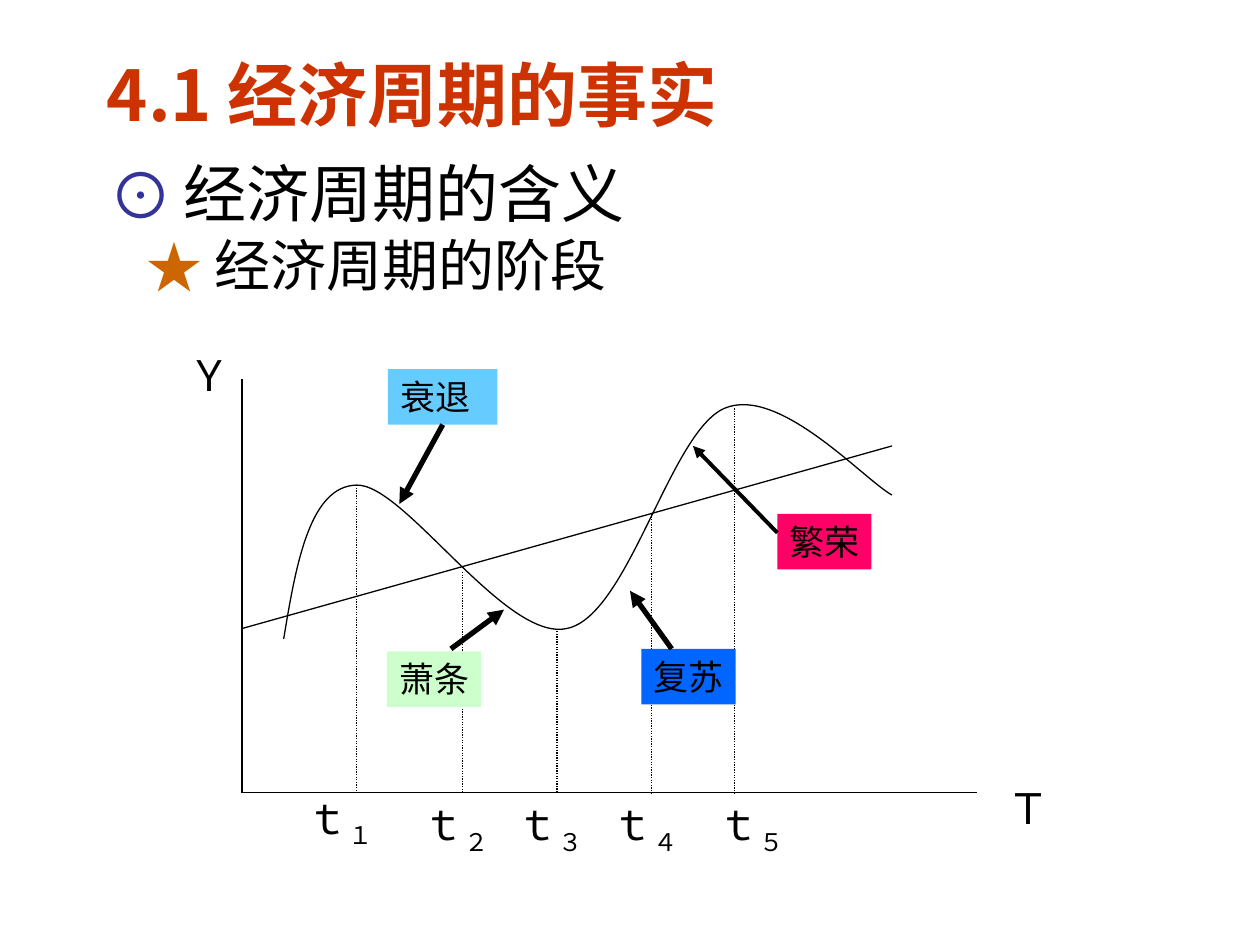
import pptx
import pptx.dml.color
import pptx.enum.dml
import pptx.enum.shapes
import pptx.enum.text
import pptx.oxml
import pptx.oxml.ns
import pptx.util
from lxml import etree
from pptx.util import Cm

COLORS = {
    "title": "CC3300", "text": "000000", "circle": "333399", "star": "CC6600",
    "recession": "66CCFF", "depression": "CCFFCC", "recovery": "0066FF", "boom": "FF0066",
}
CJK_FONT = "Noto Sans CJK SC"
AXIS_LEFT, AXIS_TOP, AXIS_RIGHT, AXIS_BOTTOM = 4.88, 7.65, 19.69, 15.98
CURVE = [
    (5.72, 12.88), (5.97, 11.35), (6.25, 9.8), (7.19, 9.78), (8.15, 9.75), (10.19, 12.95),
    (11.43, 12.67), (12.67, 12.42), (13.51, 8.69), (14.61, 8.23), (15.7, 7.77), (17.4, 9.65),
    (17.98, 9.98),
]
TIMES = [
    ("１", 7.19, 9.78, 5.92, 15.85), ("２", 9.32, 11.53, 8.26, 15.98),
    ("３", 11.23, 12.67, 10.16, 15.98), ("４", 13.13, 10.36, 12.07, 15.98),
    ("５", 14.81, 8.23, 14.22, 15.98),
]
PHASES = [
    ("衰退", "recession", (7.82, 7.44, 2.21), (8.89, 8.61), (8.05, 10.16), 3),
    ("萧条", "depression", (7.8, 13.13, 1.9), (9.09, 13.08), (10.16, 12.29), 3),
    ("复苏", "recovery", (12.93, 13.08, 1.9), (13.54, 13.08), (12.7, 11.91), 3),
    ("繁荣", "boom", (15.67, 10.36, 1.9), (15.67, 10.74), (13.97, 8.99), 2.25),
]


def rgb(name):
    """Return the named colour."""
    return pptx.dml.color.RGBColor.from_string(COLORS[name])


def add_child(parent, tag, **attributes):
    """Append a DrawingML element and return it."""
    child = etree.SubElement(parent, pptx.oxml.ns.qn(tag))
    for name, value in attributes.items():
        child.set(name, str(value))
    return child


def add_run(paragraph, text, size=24, font="Times New Roman", color="text", bold=False, baseline=0):
    """Add formatted text to a paragraph."""
    run = paragraph.add_run()
    run.text = text
    run.font.size = pptx.util.Pt(size)
    run.font.bold = bold
    run.font.name = font
    run.font.color.rgb = rgb(color)
    properties = run.font._element
    latin = properties.find(pptx.oxml.ns.qn("a:latin"))
    east_asian = add_child(properties, "a:ea", typeface=CJK_FONT)
    latin.addnext(east_asian)
    if baseline:
        properties.set("baseline", str(baseline * 1000))


def place(shape, left, top, width, height):
    """Move and size a shape, in centimetres."""
    shape.left, shape.top, shape.width, shape.height = map(Cm, (left, top, width, height))


def prepare_frame(shape, anchor=pptx.enum.text.MSO_ANCHOR.TOP, wrap=True):
    """Set the frame behaviour and return its first paragraph, left aligned."""
    frame = shape.text_frame
    frame.auto_size = pptx.enum.text.MSO_AUTO_SIZE.NONE
    frame.word_wrap = wrap
    frame.vertical_anchor = anchor
    paragraph = frame.paragraphs[0]
    paragraph.alignment = pptx.enum.text.PP_ALIGN.LEFT
    return paragraph


def add_bullet(paragraph, symbol, color, margin, indent):
    """Give a paragraph a coloured bullet and a hanging indent."""
    properties = paragraph._p.get_or_add_pPr()
    properties.set("marL", str(Cm(margin)))
    properties.set("indent", str(-Cm(indent)))
    add_child(add_child(properties, "a:buClr"), "a:srgbClr", val=COLORS[color])
    add_child(properties, "a:buFont", typeface=CJK_FONT)
    add_child(properties, "a:buChar", char=symbol)
    paragraph.space_before = pptx.util.Pt(0)


def add_line(slide, start, end, width=0.75, arrow=False, dotted=False):
    """Draw a straight line between two points."""
    line = slide.shapes.add_connector(
        pptx.enum.shapes.MSO_CONNECTOR.STRAIGHT, *map(Cm, (*start, *end)))
    line.line.color.rgb = rgb("text")
    line.line.width = pptx.util.Pt(width)
    if dotted:
        line.line.dash_style = pptx.enum.dml.MSO_LINE.ROUND_DOT
    if arrow:
        add_child(line.line._get_or_add_ln(), "a:tailEnd", type="triangle")
    add_child(line._element.spPr, "a:effectLst")
    return line


def add_label(slide, text, left, top, width=2.34, subscript=""):
    """Add an axis label with an optional subscript."""
    shape = slide.shapes.add_textbox(*map(Cm, (left, top, width, 1.42)))
    paragraph = prepare_frame(shape)
    add_run(paragraph, text)
    if subscript:
        add_run(paragraph, subscript, baseline=-25)


def add_curve(slide):
    """Draw the cycle as a chain of cubic curves."""
    points = [(Cm(x), Cm(y)) for x, y in CURVE]
    builder = slide.shapes.build_freeform(*points[0])
    builder.add_line_segments(points[1:], close=False)
    shape = builder.convert_to_shape()
    shape.shadow.inherit = False
    shape.fill.background()
    shape.line.color.rgb = rgb("text")
    shape.line.width = pptx.util.Pt(0.75)
    segments = list(shape._element.iter(pptx.oxml.ns.qn("a:lnTo")))
    drawing_path = segments[0].getparent()
    for first in range(0, len(segments), 3):
        curve = add_child(drawing_path, "a:cubicBezTo")
        for segment in segments[first:first + 3]:
            curve.append(segment[0])
            drawing_path.remove(segment)


def add_phase(slide, text, color, box, start, end, width):
    """Add a phase box and the arrow from it to the curve."""
    left, top, box_width = box
    shape = slide.shapes.add_shape(
        pptx.enum.shapes.MSO_SHAPE.RECTANGLE, *map(Cm, (left, top, box_width, 1.12)))
    shape.shadow.inherit = False
    shape.fill.solid()
    shape.fill.fore_color.rgb = rgb(color)
    shape.line.fill.background()
    add_run(prepare_frame(shape, wrap=box_width > 2), text, size=20, font="Montserrat")
    arrow = add_line(slide, start, end, width, arrow=True)
    if color == "recession":
        arrow.begin_connect(shape, 2)


def add_headings(slide):
    """Fill the title and the two-level list."""
    title, body = slide.placeholders
    place(title, 1.9, 0.91, 15.04, 1.96)
    add_run(prepare_frame(title), "4.1 经济周期的事实", size=40, font=CJK_FONT,
            color="title", bold=True)
    place(body, 1.7, 2.97, 22.3, 3.15)
    paragraph = prepare_frame(body, pptx.enum.text.MSO_ANCHOR.BOTTOM)
    add_bullet(paragraph, "⊙", "circle", 1.75, 1.5)
    add_run(paragraph, "经济周期的含义", size=36, font=CJK_FONT)
    paragraph = body.text_frame.add_paragraph()
    paragraph.level = 1
    add_bullet(paragraph, "★", "star", 2.36, 1.37)
    add_run(paragraph, "经济周期的阶段", size=32, font="Arial")


def main():
    """Build the business cycle slide."""
    presentation = pptx.Presentation()
    presentation.slide_width, presentation.slide_height = Cm(25.4), Cm(19.05)
    slide = presentation.slides.add_slide(presentation.slide_layouts[1])
    add_headings(slide)
    origin = (AXIS_LEFT, AXIS_BOTTOM)
    add_line(slide, (AXIS_LEFT, AXIS_TOP), origin)
    add_line(slide, origin, (AXIS_RIGHT, AXIS_BOTTOM))
    add_label(slide, "Ｔ", 20.07, 15.65, 1.36)
    add_label(slide, "Ｙ", 3.56, 6.93, 1.36)
    add_line(slide, (AXIS_LEFT, 12.67), (17.98, 8.99))
    add_curve(slide)
    for number, x, top, label_left, label_top in TIMES:
        add_line(slide, (x, top), (x, AXIS_BOTTOM), dotted=True)
        add_label(slide, "ｔ", label_left, label_top, subscript=number)
    for phase in PHASES:
        add_phase(slide, *phase)
    presentation.save("out.pptx")


if __name__ == "__main__":
    main()
